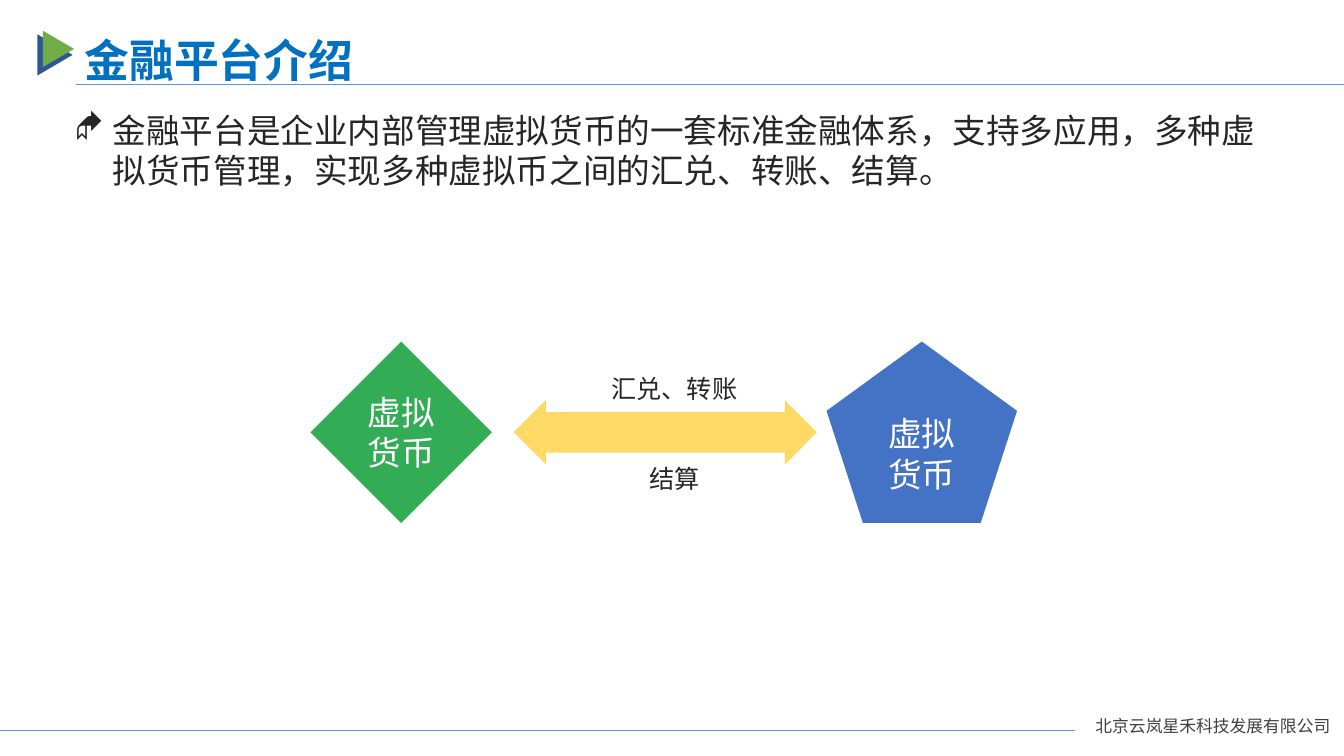
"""Build the slide that introduces the financial platform."""
from lxml.etree import SubElement
from pptx import Presentation
from pptx.dml.color import RGBColor
from pptx.enum.shapes import MSO_CONNECTOR, MSO_SHAPE as Shape
from pptx.enum.text import MSO_ANCHOR as Anchor, PP_ALIGN as Align
from pptx.oxml.ns import qn
from pptx.util import Pt

FONT = "Noto Sans CJK SC"
WHITE = RGBColor(0xFF, 0xFF, 0xFF)
TITLE_BLUE = RGBColor(0x00, 0x70, 0xC0)
RULE_BLUE = RGBColor(0x5B, 0x9B, 0xD5)
NAVY = RGBColor(0x2F, 0x55, 0x97)
LEAF = RGBColor(0x70, 0xAD, 0x47)
GREEN = RGBColor(0x33, 0xAD, 0x55)
BLUE = RGBColor(0x44, 0x72, 0xC4)
YELLOW = RGBColor(0xFF, 0xD9, 0x66)
INK = RGBColor(0x26, 0x26, 0x26)
GREY = RGBColor(0x40, 0x40, 0x40)

TITLE = "金融平台介绍"
INTRO = ("金融平台是企业内部管理虚拟货币的一套标准金融体系，支持多应用，"
         "多种虚拟货币管理，实现多种虚拟币之间的汇兑、转账、结算。")
COMPANY = "北京云岚星禾科技发展有限公司"
EXCHANGE = ["汇兑、转账", "结算"]

WIDTH, HEIGHT = 960, 540
LINE_RATIO = 1.2
RULES = [(54, WIDTH, 60.5), (-1.5, 768, 522)]
MARKS = [(24.5, 26.6, 29.5, 25.2, NAVY), (28.8, 23.8, 25.9, 22.3, LEAF)]
CURRENCY_TOP, CURRENCY_HEIGHT = 244, 129.6
CURRENCIES = [
    (Shape.DIAMOND, 221.8, 129.6, GREEN, ["虚拟货币"]),
    (Shape.REGULAR_PENTAGON, 590.4, 136.1, BLUE, ["虚拟", "货币"]),
]
ARROW_CENTER, ARROW_THICK, ARROW_LENGTH = 475.2, 46, 216.7


def write(shape, lines, size, color, align=Align.LEFT, bold=False, gap=0):
    for number, line in enumerate(lines):
        frame = shape.text_frame
        paragraph = frame.add_paragraph() if number else frame.paragraphs[0]
        paragraph.text = line
        paragraph.alignment = align
        paragraph.line_spacing = Pt(size * LINE_RATIO)
        paragraph.space_before = Pt(gap if number else 0)
        font = paragraph.font
        font.name, font.size, font.bold = FONT, Pt(size), bold
        font.color.rgb = color
        for run in paragraph.runs:
            SubElement(run.font._element, qn("a:ea"), typeface=FONT)


def add_text(slide, left, top, width, height, lines, size, color, wrap=True, **style):
    box = slide.shapes.add_textbox(Pt(left), Pt(top + size * 0.08), Pt(width), Pt(height))
    box.text_frame.word_wrap = wrap
    write(box, lines, size, color, **style)
    return box


def add_solid(slide, kind, left, top, width, height, color, rotation=0):
    solid = slide.shapes.add_shape(kind, Pt(left), Pt(top), Pt(width), Pt(height))
    solid.shadow.inherit = False
    solid.fill.solid()
    solid.fill.fore_color.rgb = color
    solid.line.fill.background()
    solid.rotation = rotation
    return solid


def add_rule(slide, start, end, y):
    rule = slide.shapes.add_connector(MSO_CONNECTOR.STRAIGHT, Pt(start), Pt(y), Pt(end), Pt(y))
    rule.line.color.rgb = RULE_BLUE
    rule.line.width = Pt(0.5)
    SubElement(rule._element.spPr, qn("a:effectLst"))


def add_bullet(paragraph, indent):
    properties = paragraph._p.get_or_add_pPr()
    properties.set("marL", str(Pt(indent)))
    properties.set("indent", str(-Pt(indent)))
    SubElement(properties, qn("a:buFont"), typeface="Wingdings")
    SubElement(properties, qn("a:buChar"), char="◆")


def main():
    deck = Presentation()
    deck.slide_width, deck.slide_height = Pt(WIDTH), Pt(HEIGHT)
    slide = deck.slides.add_slide(deck.slide_layouts[6])

    for left, top, width, height, color in MARKS:
        add_solid(slide, Shape.ISOSCELES_TRIANGLE, left, top, width, height, color, 90)
    for start, end, y in RULES:
        add_rule(slide, start, end, y)

    add_text(slide, 775.4, 506.9, 184.3, 21.6, [COMPANY], 12, GREY, wrap=False)
    add_text(slide, 53.3, 17.3, 490.3, 45.4, [TITLE], 32, TITLE_BLUE, bold=True)
    intro = add_text(slide, 46, 72.7, 858.2, 65.5, [INTRO], 24, INK)
    add_bullet(intro.text_frame.paragraphs[0], 27.4)

    for kind, left, width, color, lines in CURRENCIES:
        currency = add_solid(slide, kind, left, CURRENCY_TOP, width, CURRENCY_HEIGHT, color)
        currency.text_frame.word_wrap = True
        currency.text_frame.vertical_anchor = Anchor.MIDDLE
        write(currency, lines, 24, WHITE, Align.CENTER)

    middle = CURRENCY_TOP + CURRENCY_HEIGHT / 2
    arrow = add_solid(slide, Shape.UP_DOWN_ARROW, ARROW_CENTER - ARROW_THICK / 2,
                      middle - ARROW_LENGTH / 2, ARROW_THICK, ARROW_LENGTH, YELLOW, 90)
    arrow.adjustments[0], arrow.adjustments[1] = 0.24, 0.63
    add_text(slide, 429.1, 261.4, 105.1, 94.3, EXCHANGE, 18, INK, wrap=False,
             align=Align.CENTER, gap=2 * 18 * LINE_RATIO)

    deck.save("out.pptx")


if __name__ == "__main__":
    main()
